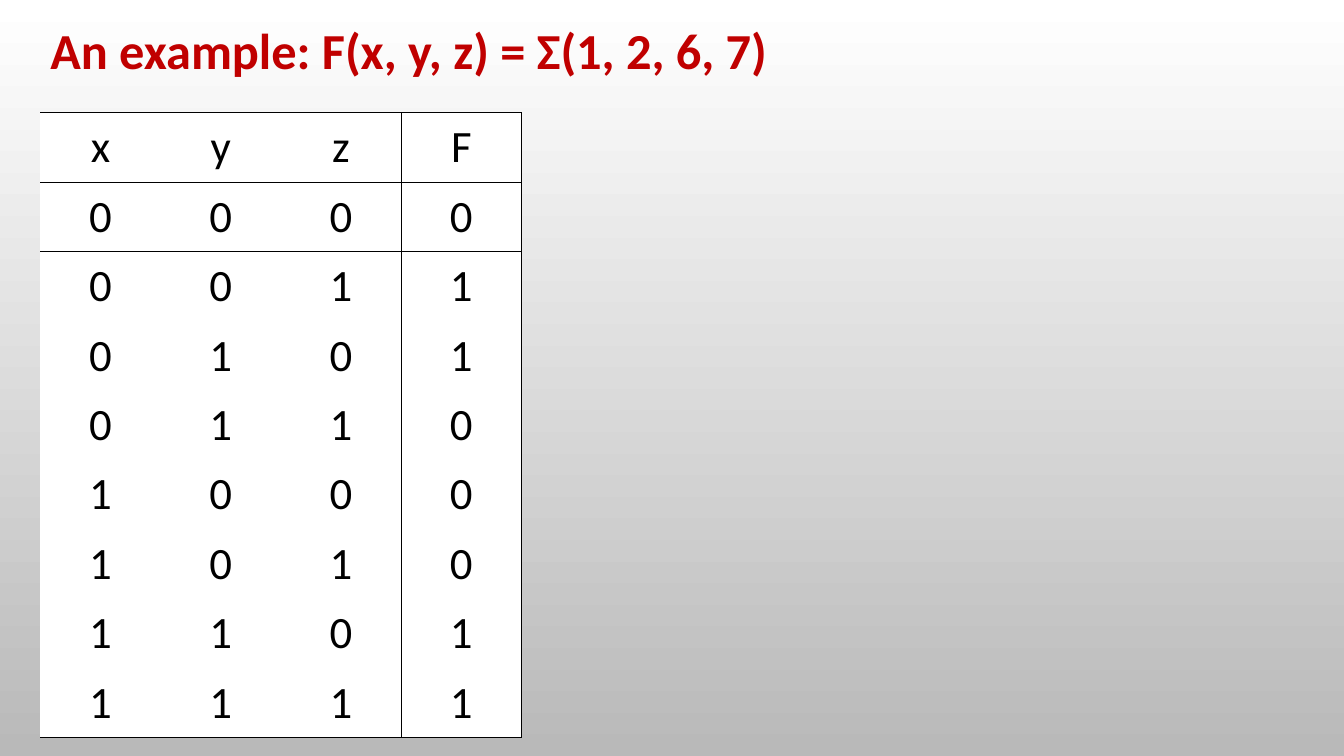
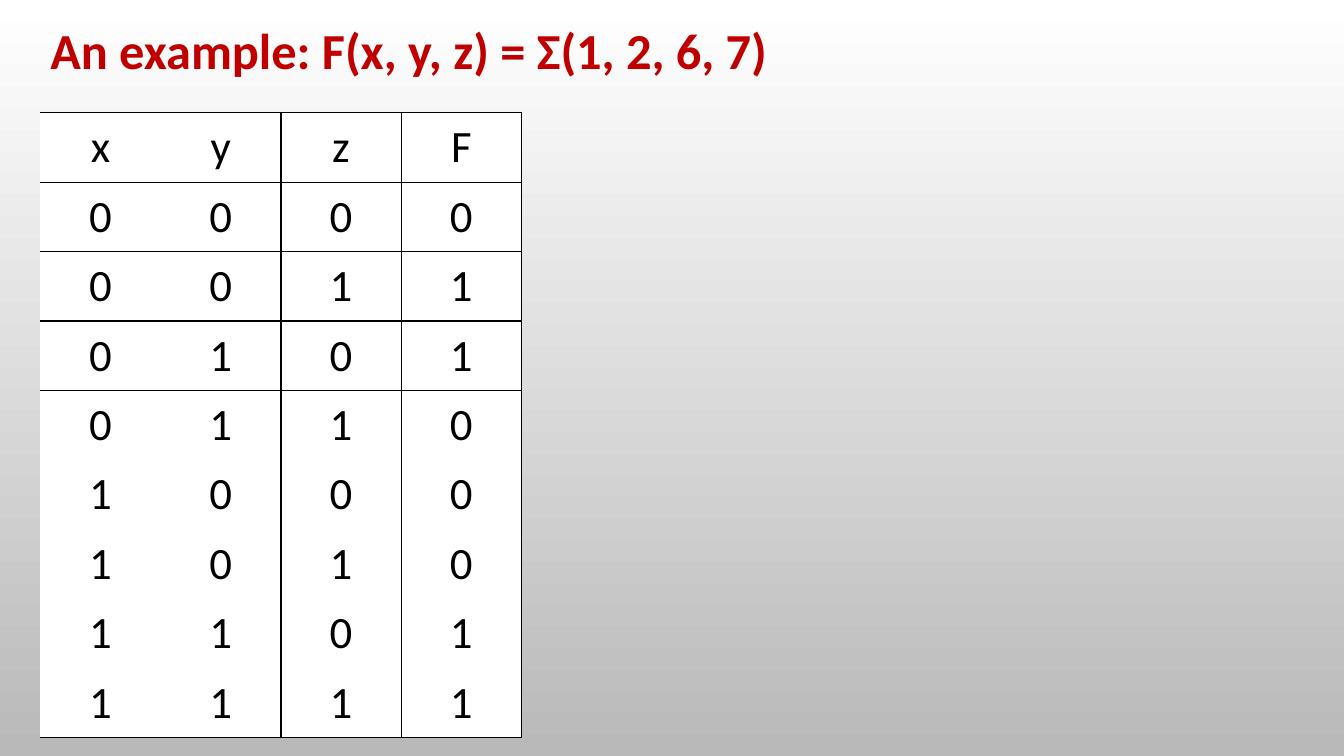
from lxml import etree
from pptx import Presentation
from pptx import util as u
from pptx.dml.color import RGBColor
from pptx.enum import text
from pptx.oxml.ns import qn

FONT = "Calibri"
RED, BLACK, WHITE, GREY = "C00000", "000000", "FFFFFF", "B9B9B9"
LEFT = 1.02
COL, ROW = 3.03, 1.75
HEADS = "xyzF"
TERMS = (1, 2, 6, 7)
PLAIN = "{2D5ABB26-0587-4C30-8999-92F81FD0307C}"  # no style, no grid


def color(code):
    return RGBColor.from_string(code)


def backdrop(master):
    """Give every slide the white to grey gradient, top to bottom."""
    fill = master.background.fill
    fill.gradient()
    fill.gradient_angle = 270
    for stop, code in zip(fill.gradient_stops, (WHITE, GREY)):
        stop.color.rgb = color(code)


def add_run(para, words, size, code, bold=False):
    run = para.add_run()
    run.text = words
    font = run.font
    font.name, font.size, font.bold = FONT, u.Pt(size), bold
    font.color.rgb = color(code)


def add_title(slide, words):
    box = slide.shapes.add_textbox(u.Cm(LEFT), u.Cm(0.36), u.Cm(20.62), u.Cm(1.8))
    frame = box.text_frame
    frame.word_wrap = False
    frame.auto_size = text.MSO_AUTO_SIZE.SHAPE_TO_FIT_TEXT
    add_run(frame.paragraphs[0], words, 36, RED, bold=True)


def add_edge(cell, side):
    line = etree.SubElement(cell._tc.get_or_add_tcPr(), qn(f"a:ln{side}"),
                            w=str(u.Pt(1)))
    fill = etree.SubElement(line, qn("a:solidFill"))
    etree.SubElement(fill, qn("a:srgbClr"), val=BLACK)


def fill_cell(cell, words, edges):
    for side, shown in edges.items():
        if shown:
            add_edge(cell, side)
    cell.fill.solid()
    cell.fill.fore_color.rgb = color(WHITE)
    cell.vertical_anchor = text.MSO_ANCHOR.MIDDLE
    para = cell.text_frame.paragraphs[0]
    para.alignment = text.PP_ALIGN.CENTER
    add_run(para, words, 32, BLACK)


def truth_rows():
    yield HEADS
    for num in range(8):
        yield f"{num:03b}{int(num in TERMS)}"


def add_truth(slide, across, down):
    """Draw the truth table, ruled above rows `across` and left of columns `down`."""
    rows = list(truth_rows())
    wide = len(HEADS) + 1  # a spare, clear column at the right
    table = slide.shapes.add_table(
        len(rows), wide, u.Cm(LEFT), u.Cm(2.84),
        u.Cm(COL * wide), u.Cm(ROW * len(rows))).table
    table.first_row = table.horz_banding = False
    table._tbl.tblPr.find(qn("a:tableStyleId")).text = PLAIN
    for col in table.columns:
        col.width = u.Cm(COL)
    for r, row in enumerate(rows):
        table.rows[r].height = u.Cm(ROW)
        for c, words in enumerate(row):
            edges = {"L": c in down, "R": c + 1 in down,
                     "T": r in across, "B": r + 1 in across}
            fill_cell(table.cell(r, c), words, edges)
        table.cell(r, wide - 1).fill.background()
    return table


def main():
    prs = Presentation()
    prs.slide_width, prs.slide_height = u.Cm(33.87), u.Cm(19.05)
    backdrop(prs.slide_master)
    tables = []
    for across, down in (((0, 1, 9), (3,)), ((0, 1, 3, 9), (2, 3))):
        slide = prs.slides.add_slide(prs.slide_layouts[6])
        add_title(slide, "An example: F(x, y, z) = Σ(1, 2, 6, 7)")
        tables.append(add_truth(slide, across, down))
    spare = len(HEADS)
    tables[1].cell(1, spare).merge(tables[1].cell(2, spare))
    prs.save("out.pptx")


if __name__ == "__main__":
    main()
